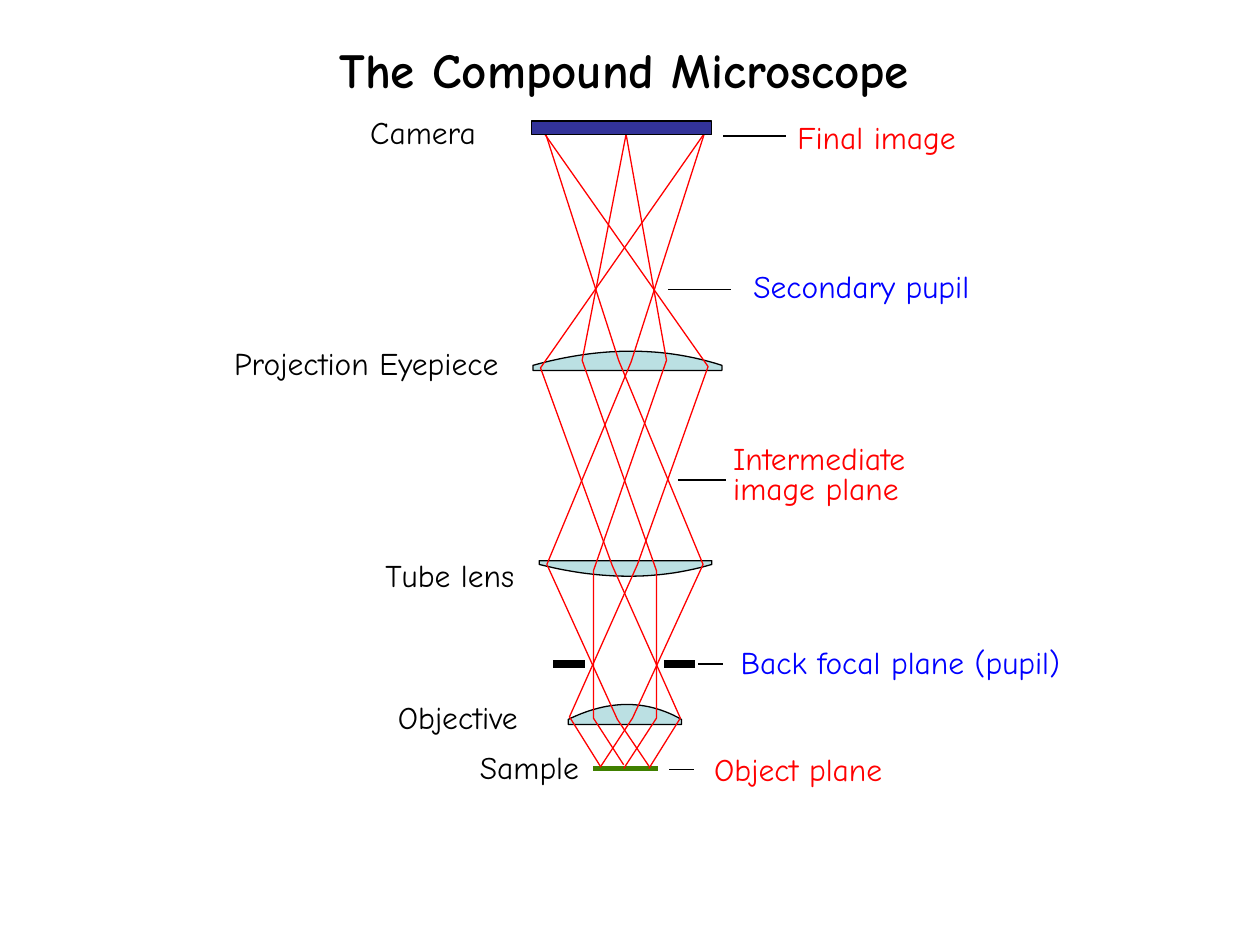
from pptx import Presentation
from pptx import util as u
from pptx.dml.color import RGBColor
from pptx.enum import shapes, text
from pptx.oxml.ns import qn
from lxml import etree

PX = 9144
FACE = "Comic Neue"
HUES = {"ink": "000000", "red": "FF0000", "blue": "0000FF", "glass": "BBE0E3",
        "green": "408000", "chip": "333399"}

# name, x, y, width
NAMES = [("Camera", 114, 0, 104), ("Projection Eyepiece", 6, 183, 244),
         ("Tube lens", 126, 351, 130), ("Objective", 136, 464, 130),
         ("Sample", 201, 504, 101)]

# text, hue, x, y, width, height, wrap, leader (start, end, y)
NOTES = [("Final image", "red", 93, 9, 175, 42, True, (44, 94, 28)),
         ("Secondary pupil", "blue", 58, 127, 239, 42, True, (0, 50, 150)),
         ("Intermediate image plane", "red", 42, 269, 175, 61, True, (8, 46, 301)),
         ("Back focal plane (pupil)", "blue", 48, 425, 290, 42, False, (24, 44, 447)),
         ("Object plane", "red", 27, 510, 170, 42, False, (1, 21, 531))]

# left, width, flat side, rim, rise
LENSES = [(31, 90, 485, 481, -19), (3, 150, 204, 200, -18), (8, 137, 355, 358, 15)]

RAYS = [[(75, 517), (51, 480), (51, 363), (109, 196), (77, 17)],
        [(75, 520), (101, 480), (101, 363), (42, 196), (77, 16)],
        [(95, 518), (70, 481), (14, 358), (81, 197), (139, 16)],
        [(95, 520), (120, 480), (66, 359), (9, 202), (139, 16)],
        [(57, 518), (82, 480), (138, 358), (71, 196), (13, 16)],
        [(57, 519), (32, 479), (86, 358), (142, 201), (12, 16)]]


def tint(hue):
    """Return the colour of a named hue."""
    return RGBColor.from_string(HUES[hue])


def paint(shape, fill, line):
    """Give a shape its fill and a thin outline, without shadow."""
    shape.shadow.inherit = False
    if fill:
        shape.fill.solid()
        shape.fill.fore_color.rgb = tint(fill)
    else:
        shape.fill.background()
    shape.line.color.rgb = tint(line)
    shape.line.width = u.Pt(0.75)


def write(slide, box, words, hue="ink", wrap=False, para=None, **font):
    """Place one paragraph of text in a box."""
    shape = slide.shapes.add_textbox(*(n * PX for n in box))
    frame = shape.text_frame
    frame.word_wrap = wrap
    first = frame.paragraphs[0]
    for key, val in (para or {}).items():
        setattr(first, key, val)
    run = first.add_run()
    run.text = words
    for key, val in {"name": FACE, "size": u.Pt(18), **font}.items():
        setattr(run.font, key, val)
    run.font.color.rgb = tint(hue)
    return frame


def rule(slide, left, right, y, hue="ink", width=0.75):
    """Draw a level line."""
    line = slide.shapes.add_connector(
        shapes.MSO_CONNECTOR.STRAIGHT, left * PX, y * PX, right * PX, y * PX)
    line.line.color.rgb = tint(hue)
    line.line.width = u.Pt(width)
    etree.SubElement(line._element.spPr, qn("a:effectLst"))


def trace(slide, x, y, points, fill, line, close):
    """Draw an outline through points measured from x, y."""
    spots = [(round((x + a) * PX), round((y + b) * PX)) for a, b in points]
    pen = slide.shapes.build_freeform(*spots[0])
    pen.add_line_segments(spots[1:], close=close)
    paint(pen.convert_to_shape(), fill, line)


def arc(left, wide, rim, rise, steps=30):
    """Return points along a lens face from right rim to left rim."""
    knots = [(left + wide, rim), (left + 0.63 * wide, rim + rise),
             (left + 0.28 * wide, rim + 0.65 * rise), (left, rim)]
    points = []
    for step in range(steps + 1):
        t = step / steps
        mix = ((1 - t) ** 3, 3 * t * (1 - t) ** 2, 3 * t * t * (1 - t), t ** 3)
        points.append(tuple(sum(m * k[i] for m, k in zip(mix, knots)) for i in (0, 1)))
    return points


def title(slide, box):
    """Write the heading."""
    frame = write(slide, box, "The Compound Microscope", wrap=True,
                  para={"alignment": text.PP_ALIGN.CENTER}, size=u.Pt(28), bold=True)
    frame.vertical_anchor = text.MSO_ANCHOR.MIDDLE


def optics(slide, x, y):
    """Draw lenses, sample, rays, pupil stop and camera."""
    for left, wide, flat, rim, rise in LENSES:
        face = arc(left, wide, rim, rise)
        trace(slide, x, y, [(left, flat), (left + wide, flat)] + face, "glass", "ink", True)
    rule(slide, x + 51, x + 102, y + 520, "green", 3)
    for ray in RAYS:
        trace(slide, x, y, ray, None, "red", False)
    for left in (19, 107):
        rule(slide, x + left, x + left + 25, y + 437, width=4.5)
    chip = slide.shapes.add_shape(shapes.MSO_SHAPE.RECTANGLE, (x + 2) * PX, (y + 6) * PX,
                                  143 * PX, 11 * PX)
    paint(chip, "chip", "ink")


def names(slide, x, y):
    """Name the parts on the left."""
    for words, left, top, wide in NAMES:
        write(slide, (x + left, y + top, wide, 42), words)


def notes(slide, x, y):
    """Label the planes on the right, each with its leader."""
    for words, hue, left, top, wide, high, wrap, (start, end, level) in NOTES:
        para = {"line_spacing": 0.8} if high > 42 else None
        write(slide, (x + left, y + top, wide, high), words, hue, wrap, para)
        rule(slide, x + start, x + end, y + level)


def main():
    """Build and save the slide."""
    deck = Presentation()
    deck.slide_width, deck.slide_height = 1000 * PX, 750 * PX
    slide = deck.slides.add_slide(deck.slide_layouts[6])
    optics(slide, 420, 90)
    title(slide, (197, -8, 597, 125))
    names(slide, 170, 85)
    notes(slide, 530, 80)
    deck.save("out.pptx")


if __name__ == "__main__":
    main()
